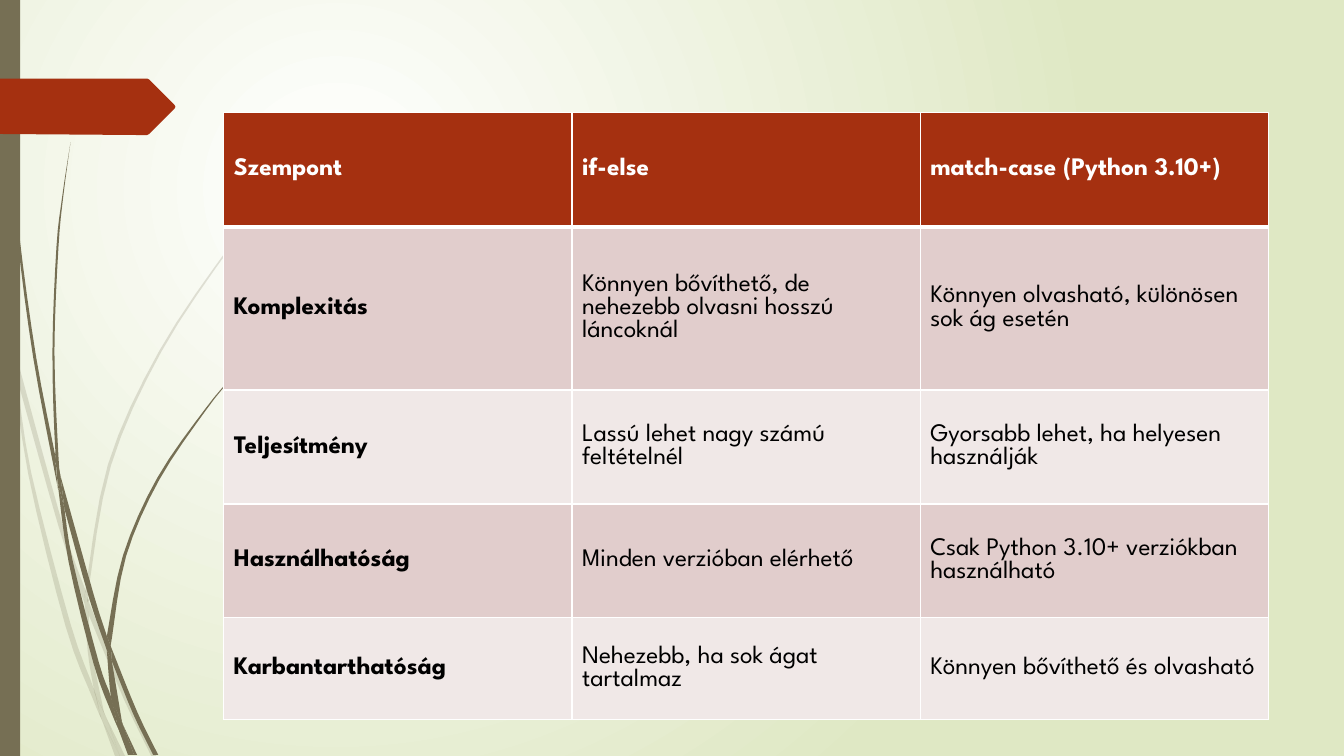
from lxml import etree
from pptx import Presentation
from pptx.dml.color import RGBColor
from pptx.enum import shapes, text
from pptx.oxml import ns
from pptx.util import Inches, Pt

OLIVE = RGBColor(0x76, 0x6F, 0x54)
RUST = RGBColor(0xA5, 0x30, 0x10)
ROSE = RGBColor(0xE1, 0xCD, 0xCC)
PALE_ROSE = RGBColor(0xF0, 0xE8, 0xE7)
MIST = RGBColor(0xDF, 0xE8, 0xC4)
WHITE = RGBColor(0xFF, 0xFF, 0xFF)
BLACK = RGBColor(0x00, 0x00, 0x00)
FONT = "League Spartan"
CURVE_STEPS = 4

PALE_BLADES = [
    ([(0.84, 5.99), (0.58, 5.22), (0.17, 3.76)], [(0.14, 3.45), (0.62, 5.2), (0.85, 5.86)]),
    ([(1.5, 7.5), (1.23, 6.94), (0.88, 6.1)],
     [(0.88, 5.96), (0.92, 6.07), (1.27, 6.92), (1.55, 7.5)]),
    ([(1.19, 7.5), (1.24, 7.5)], [(1.05, 7.11)]),
    ([(1.01, 7.14), (0.92, 6.93), (0.65, 6.21), (0.28, 4.7), (0.11, 3.5)],
     [(0.17, 3.76), (0.31, 4.69), (0.7, 6.19), (0.93, 6.83), (0.99, 7.07)]),
    ([(0.84, 5.99), (0.87, 6.46), (0.93, 6.83), (0.96, 6.92), (1.05, 7.11)],
     [(1.03, 7.06), (0.91, 6.46), (0.88, 6.1), (0.88, 6.08)]),
    ([(0.88, 5.96), (0.88, 5.84), (1.1, 4.62), (1.6, 3.49), (2.29, 2.45),
      (2.68, 1.98), (2.9, 1.75), (3.12, 1.54)],
     [(3.12, 1.53), (2.89, 1.75), (2.68, 1.97), (2.28, 2.44), (1.58, 3.48),
      (1.07, 4.61), (0.85, 5.84), (0.85, 5.86)]),
    ([(1.01, 7.14), (1.14, 7.5)], [(1.19, 7.5)]),
    ([(0.88, 6.08), (0.88, 6.1), (0.88, 5.96)], [(0.85, 5.86), (0.84, 5.99)]),
    ([(1.19, 7.5), (1.05, 7.11), (0.96, 6.92), (0.93, 6.83)],
     [(0.99, 7.07), (1.01, 7.14), (1.19, 7.5)]),
]
DARK_BLADES = [
    ([(0.03, 0), (0.04, 0.48), (0.07, 1.1), (0.17, 2.33), (0.33, 3.55), (0.56, 4.77),
      (0.57, 4.81)],
     [(0.55, 4.57), (0.55, 4.53), (0.36, 3.55), (0.19, 2.32), (0.08, 1.09),
      (0.05, 0.48), (0.04, 0)]),
    ([(1.06, 6.45), (0.88, 5.92), (0.64, 5.05)],
     [(0.6, 4.72), (0.93, 5.9), (1.06, 6.31), (1.06, 6.33)]),
    ([(1.52, 7.49), (1.32, 7.08), (1.11, 6.56)],
     [(1.1, 6.41), (1.13, 6.49), (1.36, 7.06), (1.57, 7.49)]),
    ([(1.17, 7.22), (1.11, 7.08), (0.93, 6.59), (0.68, 5.57), (0.57, 4.77)],
     [(0.64, 5.05), (0.72, 5.56), (0.98, 6.57), (1.1, 6.91), (1.16, 7.17)]),
    ([(0.6, 4.72), (0.58, 4.53), (0.54, 3.49), (0.58, 2.45), (0.63, 1.93), (0.7, 1.41)],
     [(0.7, 1.41), (0.62, 1.93), (0.56, 2.45), (0.52, 3.49), (0.55, 4.49), (0.6, 4.72)]),
    ([(1.33, 7.49), (1.36, 7.49)], [(1.22, 7.19)]),
    ([(0.57, 4.77), (0.64, 5.05)], [(0.6, 4.72), (0.55, 4.49), (0.55, 4.53)]),
    ([(1.1, 6.41), (1.11, 6.33), (1.25, 5.52), (1.58, 4.76), (2.05, 4.06),
      (2.31, 3.74), (2.45, 3.59), (2.61, 3.44)],
     [(2.6, 3.44), (2.45, 3.58), (2.31, 3.73), (2.04, 4.05), (1.56, 4.74),
      (1.22, 5.51), (1.06, 6.31)]),
    ([(1.17, 7.22), (1.27, 7.49)], [(1.31, 7.49)]),
    ([(1.06, 6.45), (1.1, 6.91), (1.16, 7.06), (1.22, 7.19)],
     [(1.21, 7.16), (1.11, 6.56), (1.09, 6.51)]),
    ([(1.06, 6.45), (1.09, 6.51), (1.11, 6.56)], [(1.1, 6.41), (1.06, 6.31)]),
    ([(1.33, 7.49), (1.22, 7.19), (1.16, 7.06), (1.1, 6.91)],
     [(1.16, 7.17), (1.17, 7.22), (1.3, 7.49)]),
]
TAG = [(0, 0.78), (1.46, 0.78), (1.48, 0.79), (1.73, 1.04), (1.74, 1.06),
       (1.73, 1.08), (1.48, 1.33), (1.46, 1.34), (1.36, 1.34), (0, 1.33)]

ROWS = [
    ("Szempont", "if-else", "match-case (Python 3.10+)"),
    ("Komplexitás", "Könnyen bővíthető, de nehezebb olvasni hosszú láncoknál",
     "Könnyen olvasható, különösen sok ág esetén"),
    ("Teljesítmény", "Lassú lehet nagy számú feltételnél",
     "Gyorsabb lehet, ha helyesen használják"),
    ("Használhatóság", "Minden verzióban elérhető",
     "Csak Python 3.10+ verziókban használható"),
    ("Karbantarthatóság", "Nehezebb, ha sok ágat tartalmaz",
     "Könnyen bővíthető és olvasható"),
]
ROW_HEIGHTS = [1.13, 1.62, 1.13, 1.13, 1.01]
TABLE_WIDTH = 10.36


def add_element(parent, tag, **attributes):
    """Append a DrawingML element to its parent."""
    return etree.SubElement(parent, ns.qn(tag), attributes)


def paint_background(page):
    """Fill the page with a round glow from white to mist."""
    fill = page.background.fill
    fill.gradient()
    for stop, position, color in zip(fill.gradient_stops, (0, 1), (WHITE, MIST)):
        stop.position = position
        stop.color.rgb = color
    gradient = page.background._cSld.find(".//" + ns.qn("a:gradFill"))
    gradient.remove(gradient.find(ns.qn("a:lin")))
    glow = add_element(gradient, "a:path", path="circle")
    add_element(glow, "a:fillToRect", l="50000", t="50000", r="100000", b="100000")


def smooth_side(points):
    """Return points along a Catmull-Rom curve through the given ones."""
    padded = [points[0], *points, points[-1]]
    curve = []
    for a, b, c, d in zip(padded, padded[1:], padded[2:], padded[3:]):
        for step in range(CURVE_STEPS):
            t = step / CURVE_STEPS
            curve.append(tuple(
                q + t * (r - p) / 2 + t**2 * (2 * p - 5 * q + 4 * r - s) / 2
                + t**3 * (3 * q - p - 3 * r + s) / 2
                for p, q, r, s in zip(a, b, c, d)))
    return curve + [points[-1]]


def paint_shape(shape, color):
    """Give a shape a plain fill without line or shadow."""
    shape.shadow.inherit = False
    shape.fill.solid()
    shape.fill.fore_color.rgb = color
    shape.line.fill.background()


def add_outline(container, points, color):
    """Add a closed freeform through points given in inches."""
    corners = [(Inches(x), Inches(y)) for x, y in points]
    builder = container.build_freeform(*corners[0])
    builder.add_line_segments(corners[1:], close=True)
    outline = builder.convert_to_shape()
    paint_shape(outline, color)
    return outline


def add_grass(page, blades, opacity):
    """Add a group of grass blades, each made of two curved sides."""
    group = page.shapes.add_group_shape()
    for first_side, second_side in blades:
        points = smooth_side(first_side) + smooth_side(second_side)
        blade = add_outline(group.shapes, points, OLIVE)
        if opacity < 100:
            color = blade._element.spPr.find(".//" + ns.qn("a:srgbClr"))
            add_element(color, "a:alpha", val=str(opacity * 1000))


def set_borders(cell, top, bottom):
    """Draw white borders around a cell, with widths in points."""
    properties = cell._tc.get_or_add_tcPr()
    for side, width in (("L", 1), ("R", 1), ("T", top), ("B", bottom)):
        line = add_element(properties, f"a:ln{side}", w=str(Pt(width)))
        add_element(add_element(line, "a:solidFill"), "a:srgbClr", val=str(WHITE))


def fill_cell(cell, wording, row, column):
    """Write and style one cell of the comparison table."""
    set_borders(cell, top=3 if row == 1 else 1, bottom=3 if row == 0 else 1)
    cell.fill.solid()
    cell.fill.fore_color.rgb = RUST if row == 0 else ROSE if row % 2 else PALE_ROSE
    cell.vertical_anchor = text.MSO_ANCHOR.MIDDLE
    cell.text_frame.text = wording
    font = cell.text_frame.paragraphs[0].runs[0].font
    font.name = FONT
    font.size = Pt(18)
    font.bold = row == 0 or column == 0
    font.color.rgb = WHITE if row == 0 else BLACK


def add_comparison(page):
    """Add the table that compares the two branching styles."""
    columns = len(ROWS[0])
    frame = page.shapes.add_table(
        len(ROWS), columns, Inches(2.22), Inches(1.12),
        Inches(TABLE_WIDTH), Inches(sum(ROW_HEIGHTS)))
    table = frame.table
    for row, (height, wordings) in enumerate(zip(ROW_HEIGHTS, ROWS)):
        table.rows[row].height = Inches(height)
        for column, wording in enumerate(wordings):
            fill_cell(table.cell(row, column), wording, row, column)


def main():
    """Build the slide and save it."""
    deck = Presentation()
    deck.slide_width, deck.slide_height = Inches(13.33), Inches(7.5)
    page = deck.slides.add_slide(deck.slide_layouts[6])
    paint_background(page)
    add_grass(page, PALE_BLADES, 20)
    add_grass(page, DARK_BLADES, 100)
    edge = page.shapes.add_shape(
        shapes.MSO_SHAPE.RECTANGLE, 0, 0, Inches(0.2), deck.slide_height)
    paint_shape(edge, OLIVE)
    add_outline(page.shapes, TAG, RUST)
    add_comparison(page)
    deck.save("out.pptx")


if __name__ == "__main__":
    main()
